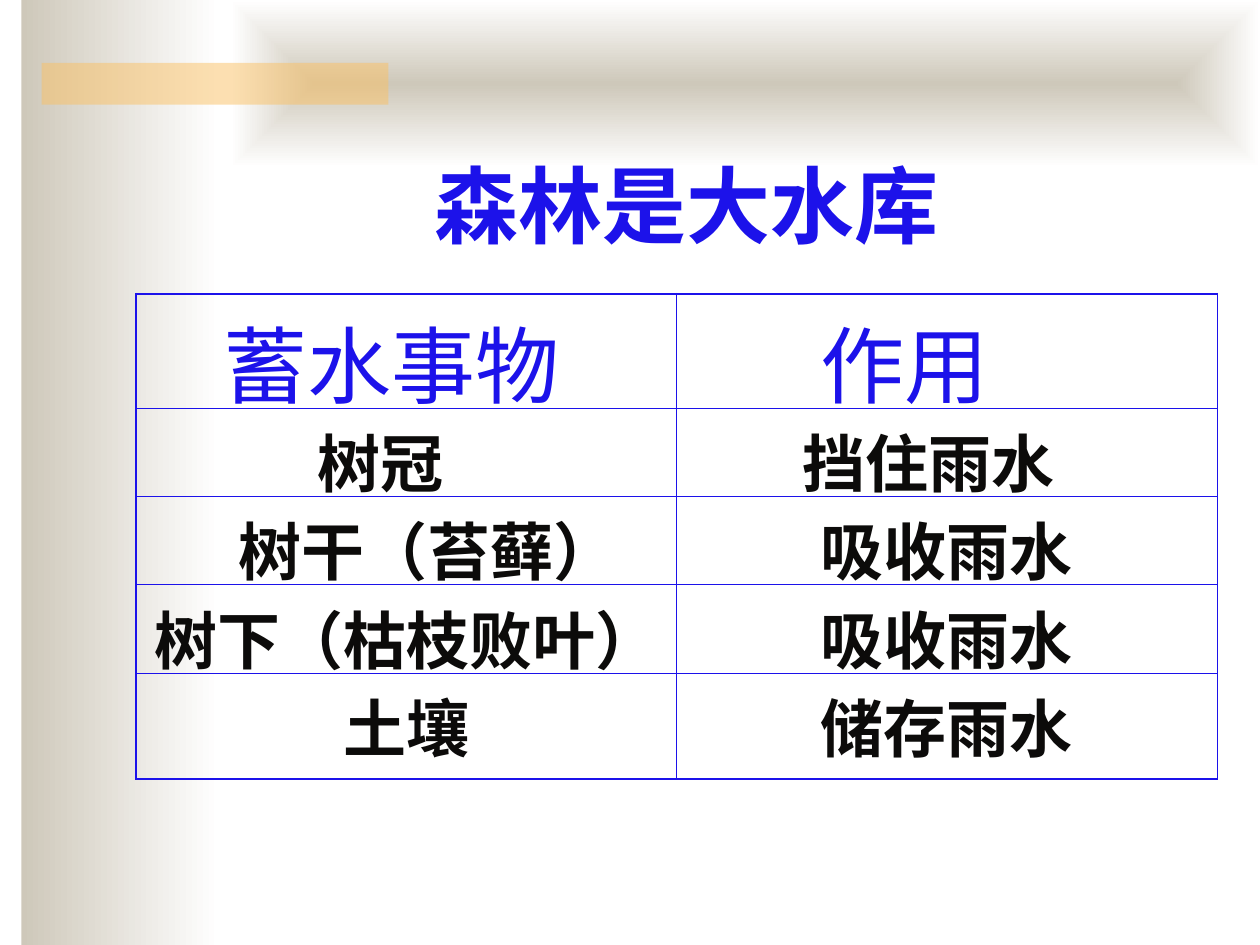
from lxml.etree import SubElement
from pptx import Presentation
from pptx.dml.color import RGBColor
from pptx.enum.shapes import MSO_SHAPE as Shape
from pptx.enum.text import MSO_AUTO_SIZE as AutoSize, PP_ALIGN as Align
from pptx.oxml import parse_xml
from pptx.oxml.ns import nsdecls, qn
from pptx.util import Cm, Pt

BLUE, INK, STONE, WHITE, AMBER = "1C12EA", "0C0B0A", "CEC8BA", "FFFFFF", "FAC164"
FONT = "Times New Roman"
THIN, THICK = 0.75, 1.08
HEAD_FORMAT = {"name": FONT, "size": Pt(48), "bold": False, "color": BLUE}
BODY_FORMAT = {"name": FONT, "size": Pt(36), "bold": True, "color": INK}
TITLE_FORMAT = HEAD_FORMAT | {"bold": True}

# Each cell: text, alignment, left indent in cm
ROWS = [
    [("蓄水事物", Align.LEFT, 1.52), ("作用", Align.LEFT, 2.65)],
    [("树冠", Align.LEFT, 3.41), ("挡住雨水", Align.LEFT, 2.28)],
    [("树干（苔藓）", Align.CENTER, 0.85), ("吸收雨水", Align.CENTER, 0)],
    [("树下（枯枝败叶）", Align.CENTER, 0), ("吸收雨水", Align.CENTER, 0)],
    [("土壤", Align.CENTER, 0), ("储存雨水", Align.CENTER, 0)],
]
ROW_HEIGHTS = [2.31, 1.78, 1.78, 1.78, 2.13]


def rgb(value):
    return RGBColor.from_string(value)


def write(para, text, formats):
    span = para.add_run()
    span.text = text
    for name, value in formats.items():
        if name == "color":
            span.font.color.rgb = rgb(value)
        else:
            setattr(span.font, name, value)


def add_panel(page, left, top, width, height):
    panel = page.shapes.add_shape(
        Shape.RECTANGLE, Cm(left), Cm(top), Cm(width), Cm(height))
    panel.shadow.inherit = False
    panel.line.fill.background()
    return panel


def fade(panel):
    """Fill from stone to white, left to right, and return the gradient element."""
    panel.fill.gradient()
    panel.fill.gradient_angle = 0
    for stop, color, position in zip(panel.fill.gradient_stops, (STONE, WHITE), (0, 1)):
        stop.color.rgb = rgb(color)
        stop.position = position
    return panel.element.spPr.find(qn("a:gradFill"))


def add_backdrop(page, left, top, width, height):
    fade(add_panel(page, left + 0.43, top, 4.01, height))

    banner = add_panel(page, left + 4.65, top, width - 4.65, 3.38)
    gradient = fade(banner)
    gradient.replace(gradient.find(qn("a:lin")), parse_xml(
        f'<a:path {nsdecls("a")} path="rect">'
        '<a:fillToRect l="50000" t="50000" r="50000" b="50000"/></a:path>'))

    bar = add_panel(page, left + 0.84, top + 1.27, 6.99, 0.84)
    bar.fill.solid()
    bar.fill.fore_color.rgb = rgb(AMBER)
    color = bar.element.spPr.find(qn("a:solidFill")).find(qn("a:srgbClr"))
    SubElement(color, qn("a:alpha"), val="50000")


def add_title(page, left, top, width, height):
    box = page.shapes.add_textbox(Cm(left), Cm(top), Cm(width), Cm(height))
    box.text_frame.word_wrap = False
    box.text_frame.auto_size = AutoSize.SHAPE_TO_FIT_TEXT
    write(box.text_frame.paragraphs[0], "森林是大水库", TITLE_FORMAT)


def set_borders(cell, widths):
    """Draw the borders; widths maps L, R, T and B, in that order, to points."""
    properties = cell._tc.get_or_add_tcPr()
    for index, (side, width) in enumerate(widths.items()):
        properties.insert(index, parse_xml(
            f'<a:ln{side} {nsdecls("a")} w="{Pt(width)}"><a:solidFill>'
            f'<a:srgbClr val="{BLUE}"/></a:solidFill></a:ln{side}>'))


def add_water_table(page, left, top, width, height):
    last_row, last_column = len(ROWS) - 1, len(ROWS[0]) - 1
    table = page.shapes.add_table(
        len(ROWS), len(ROWS[0]), Cm(left), Cm(top), Cm(width), Cm(height)).table
    table.first_row = table.horz_banding = False
    for row, row_height in zip(table.rows, ROW_HEIGHTS):
        row.height = Cm(row_height)
    for r, entries in enumerate(ROWS):
        for c, (text, alignment, indent) in enumerate(entries):
            cell = table.cell(r, c)
            cell.fill.background()
            set_borders(cell, {
                "L": THICK if c == 0 else THIN,
                "R": THICK if c == last_column else THIN,
                "T": THICK if r == 0 else THIN,
                "B": THICK if r == last_row else THIN,
            })
            para = cell.text_frame.paragraphs[0]
            para.alignment = alignment
            if indent:
                para._p.get_or_add_pPr().set("marL", str(Cm(indent)))
            write(para, text, BODY_FORMAT if r else HEAD_FORMAT)


def main():
    deck = Presentation()
    deck.slide_width, deck.slide_height = Cm(25.4), Cm(19.05)
    page = deck.slides.add_slide(deck.slide_layouts[6])
    add_backdrop(page, 0, 0, 25.4, 19.05)
    add_title(page, 8.51, 2.97, 10.67, 2.29)
    add_water_table(page, 2.74, 5.92, 21.8, sum(ROW_HEIGHTS))
    deck.save("out.pptx")


if __name__ == "__main__":
    main()
